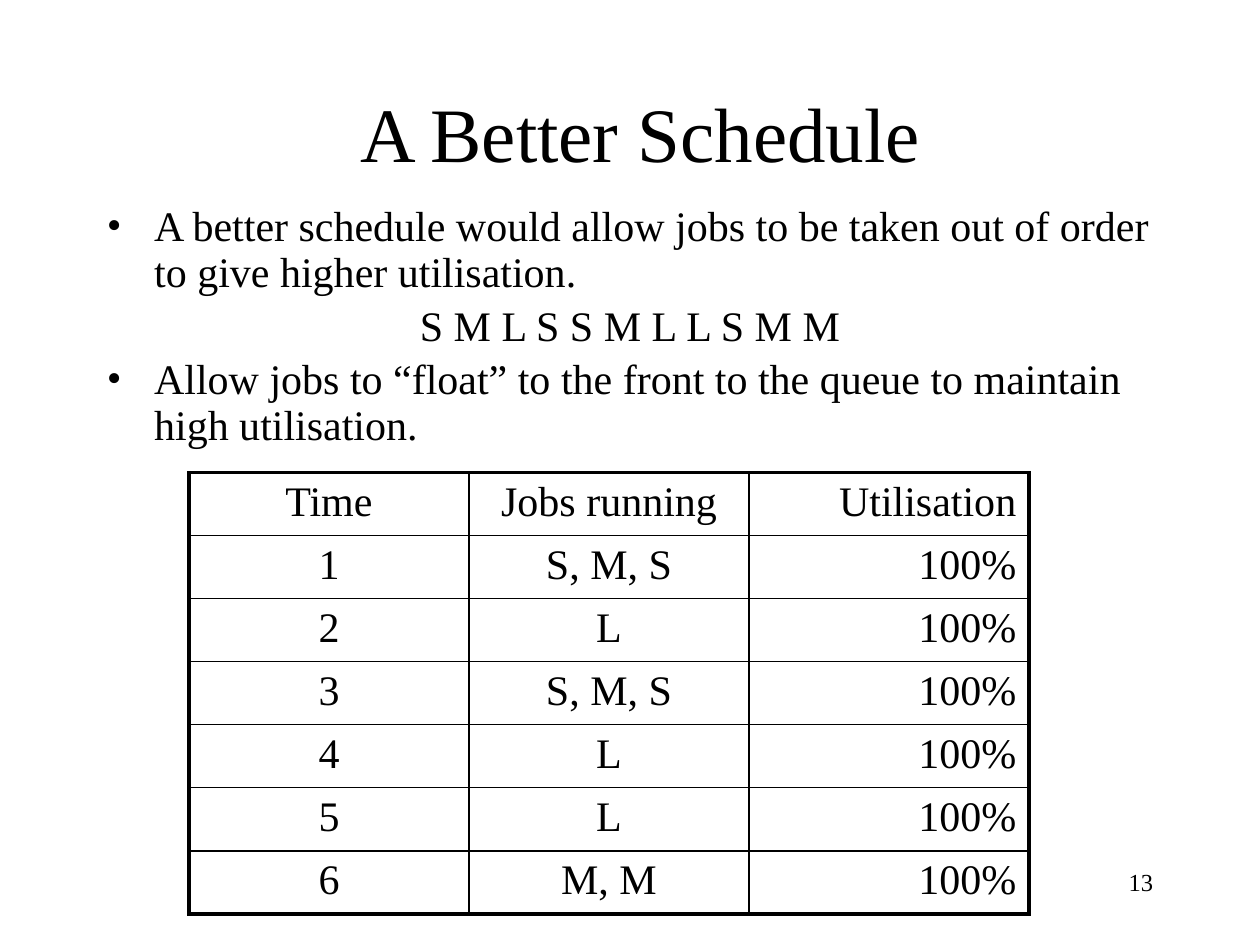
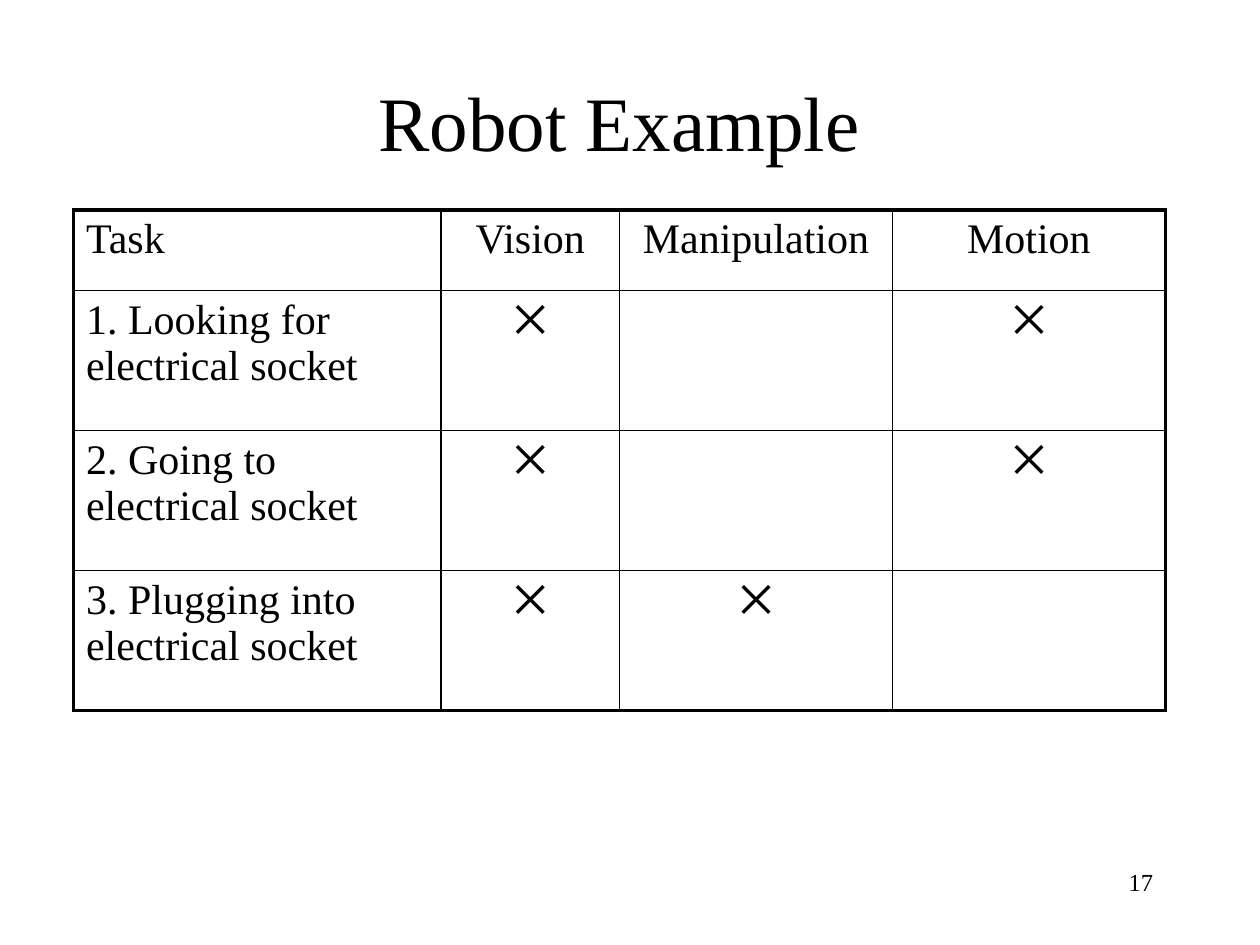
from dataclasses import dataclass

from lxml import etree
from pptx import Presentation
from pptx.dml.color import RGBColor
from pptx.enum.text import MSO_ANCHOR, PP_ALIGN
from pptx.oxml.ns import qn
from pptx.util import Pt

LEFT, CENTER, RIGHT = PP_ALIGN.LEFT, PP_ALIGN.CENTER, PP_ALIGN.RIGHT
TOP, MIDDLE = MSO_ANCHOR.TOP, MSO_ANCHOR.MIDDLE


@dataclass(frozen=True)
class Theme:
    font: str = "Times New Roman"
    ink: str = "000000"
    title: int = 44
    body: int = 24
    number: int = 14
    line_spacing: float = 0.9
    para_gap: float = 4.8
    indent: int = 27
    thin: float = 1
    thick: float = 2.25


theme = Theme()


def add_text(s, box, lines, size, align=LEFT, anchor=TOP):
    """Add a wrapped text box at box (left, top, width, height) in points."""
    tf = s.shapes.add_textbox(*map(Pt, box)).text_frame
    tf.word_wrap = True
    tf.vertical_anchor = anchor
    tf.text = "\n".join(lines)
    for p in tf.paragraphs:
        p.alignment = align
        p.font.name = theme.font
        for r in p.runs:
            r.font.name = theme.font
            r.font.size = Pt(size)
            r.font.color.rgb = RGBColor.from_string(theme.ink)
    return tf


def add_grid(s, left, top, widths, heights, rows, aligns):
    """Add an unfilled table with thin inner rules and a thick outer frame."""
    n_rows, n_cols = len(heights), len(widths)
    table = s.shapes.add_table(n_rows, n_cols, Pt(left), Pt(top),
                               Pt(sum(widths)), Pt(sum(heights))).table
    table.first_row = table.horz_banding = False
    for column, width in zip(table.columns, widths):
        column.width = Pt(width)
    for row, height in zip(table.rows, heights):
        row.height = Pt(height)
    for i, texts in enumerate(rows):
        for j, text in enumerate(texts):
            cell = table.cell(i, j)
            cell.fill.background()
            p = cell.text_frame.paragraphs[0]
            p.text = text
            p.alignment = aligns[j]
            for r in p.runs:
                r.font.name = theme.font
                r.font.size = Pt(theme.body)
                r.font.color.rgb = RGBColor.from_string(theme.ink)
            on_frame = {"a:lnL": j == 0, "a:lnR": j == n_cols - 1,
                        "a:lnT": i == 0, "a:lnB": i == n_rows - 1}
            tcPr = cell._tc.get_or_add_tcPr()
            for k, (side, outer) in enumerate(on_frame.items()):
                width = Pt(theme.thick if outer else theme.thin)
                ln = etree.Element(qn(side), w=str(width))
                fill = etree.SubElement(ln, qn("a:solidFill"))
                etree.SubElement(fill, qn("a:srgbClr"), val=theme.ink)
                tcPr.insert(k, ln)


prs = Presentation()
prs.slide_width, prs.slide_height = Pt(720), Pt(540)

# Shared parts: title and slide number
slides = []
for title, number, left, top in [("A Better Schedule", "13", 60, 30),
                                 ("Robot Example", "17", 48, 24)]:
    s = prs.slides.add_slide(prs.slide_layouts[6])
    add_text(s, (516, 492, 150, 36), [number], theme.number, RIGHT)
    add_text(s, (left, top, 612, 90), [title], theme.title, CENTER, MIDDLE)
    slides.append(s)
schedule, robot = slides

# A Better Schedule
tf = add_text(schedule, (54, 114, 612, 150), [
    "A better schedule would allow jobs to be taken out of order to give higher utilisation.",
    "S M L S S M L L S M M",
    "Allow jobs to “float” to the front to the queue to maintain high utilisation.",
], theme.body)
queue = tf.paragraphs[1]
queue.alignment = CENTER
for p in tf.paragraphs:
    p.line_spacing = theme.line_spacing
    p.space_before = Pt(theme.para_gap)
    pPr = p._p.get_or_add_pPr()
    pPr.set("marL", str(Pt(theme.indent)))
    pPr.set("indent", str(Pt(-theme.indent)))
    if p.alignment == LEFT:
        defaults = pPr.find(qn("a:defRPr"))
        defaults.addprevious(etree.Element(qn("a:buFont"), typeface=theme.font))
        defaults.addprevious(etree.Element(qn("a:buChar"), char="•"))
        etree.SubElement(p._p, qn("a:endParaRPr"), sz=str(theme.body * 100))

jobs_running = ["S, M, S", "L", "S, M, S", "L", "L", "M, M"]
rows = [("Time", "Jobs running", "Utilisation")]
rows += [(str(time), jobs, "100%") for time, jobs in enumerate(jobs_running, 1)]
add_grid(schedule, 108, 270, [160] * 3, [35.75] * 7, rows, [CENTER, CENTER, RIGHT])

# Robot Example
rows = [
    ("Task", "Vision", "Manipulation", "Motion"),
    ("1. Looking for electrical socket", "✕", "", "✕"),
    ("2. Going to electrical socket", "✕", "", "✕"),
    ("3. Plugging into electrical socket", "✕", "✕", ""),
]
add_grid(robot, 42, 120, [210, 102, 156, 156], [46, 80, 80, 80], rows,
         [LEFT, CENTER, CENTER, CENTER])

prs.save("out.pptx")
